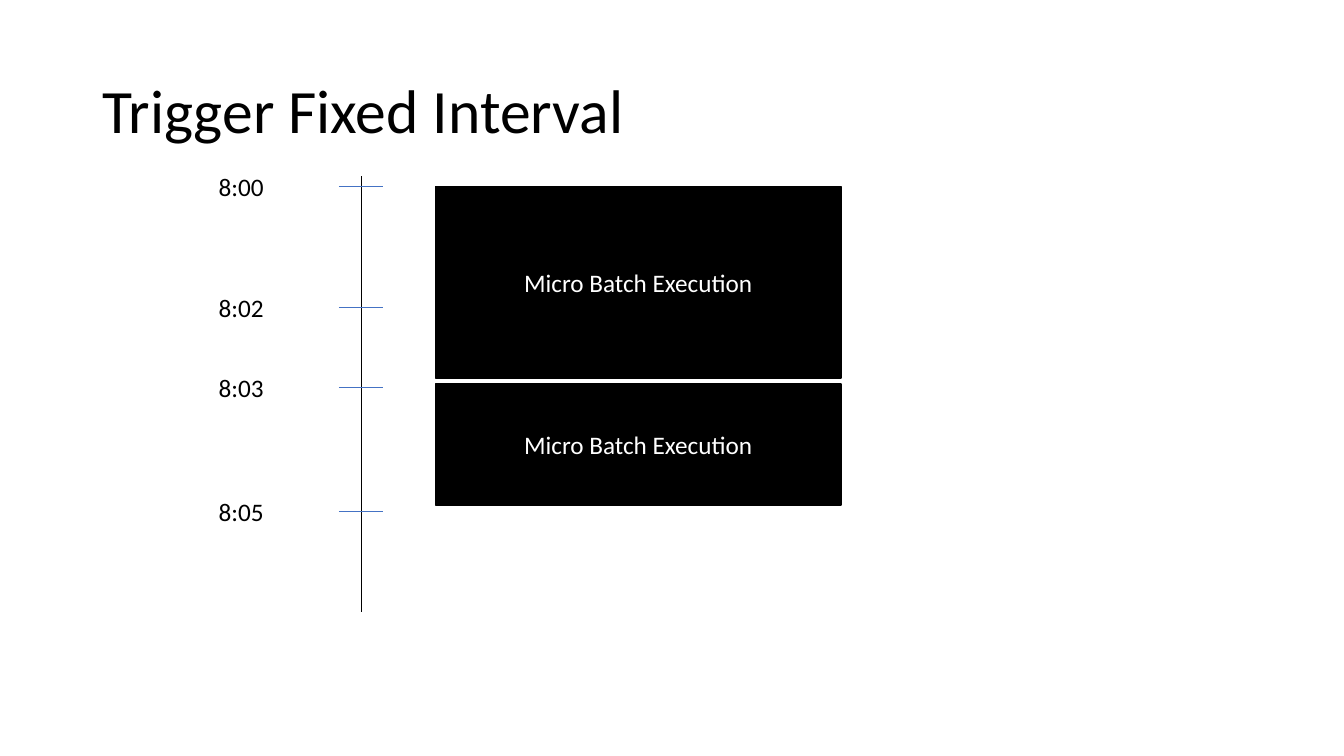
from pptx import Presentation
from pptx import util as u
from pptx.dml.color import RGBColor
from pptx.enum import shapes, text
from pptx.oxml.ns import qn
from lxml import etree

PX = 9144  # 100 px to the inch
HUES = {"ink": "000000", "paper": "FFFFFF", "tick": "4472C4"}

deck = Presentation()
deck.slide_width, deck.slide_height = 1333 * PX, 750 * PX
slide = deck.slides.add_slide(deck.slide_layouts[6])
items = slide.shapes


def write(shape, words, size=18, hue="ink", align=text.PP_ALIGN.LEFT,
          anchor=text.MSO_ANCHOR.TOP, wrap=True, space=1.0):
    frame = shape.text_frame
    frame.word_wrap = wrap
    frame.vertical_anchor = anchor
    para = frame.paragraphs[0]
    para.alignment = align
    para.line_spacing = space
    run = para.add_run()
    run.text = words
    run.font.name = "Calibri"
    run.font.size = u.Pt(size)
    run.font.color.rgb = RGBColor.from_string(HUES[hue])


def rule(x1, y1, x2, y2, hue):
    """Draw a thin straight line without a shadow."""
    line = items.add_connector(shapes.MSO_CONNECTOR.STRAIGHT,
                               x1 * PX, y1 * PX, x2 * PX, y2 * PX)
    line.line.color.rgb = RGBColor.from_string(HUES[hue])
    line.line.width = u.Pt(0.5)
    etree.SubElement(line._element.spPr, qn("a:effectLst"))


title = items.add_textbox(92 * PX, 40 * PX, 1150 * PX, 145 * PX)
write(title, "Trigger Fixed Interval", size=44,
      anchor=text.MSO_ANCHOR.MIDDLE, space=0.9)

# Time axis
rule(358, 175, 358, 607, "ink")
for time, y in (("8:00", 185), ("8:02", 305), ("8:03", 384), ("8:05", 507)):
    rule(336, y, 380, y, "tick")
    label = items.add_textbox(207 * PX, (y - 20) * PX, 65 * PX, 40 * PX)
    write(label, time, wrap=False)

# Batches
for top, height in ((185, 190), (381, 120)):
    batch = items.add_shape(shapes.MSO_SHAPE.RECTANGLE,
                            432 * PX, top * PX, 402 * PX, height * PX)
    batch.shadow.inherit = False
    batch.fill.solid()
    batch.fill.fore_color.rgb = RGBColor.from_string(HUES["ink"])
    batch.line.color.rgb = RGBColor.from_string(HUES["ink"])
    batch.line.width = u.Pt(1)
    write(batch, "Micro Batch Execution", hue="paper",
          align=text.PP_ALIGN.CENTER, anchor=text.MSO_ANCHOR.MIDDLE)

deck.save("out.pptx")
